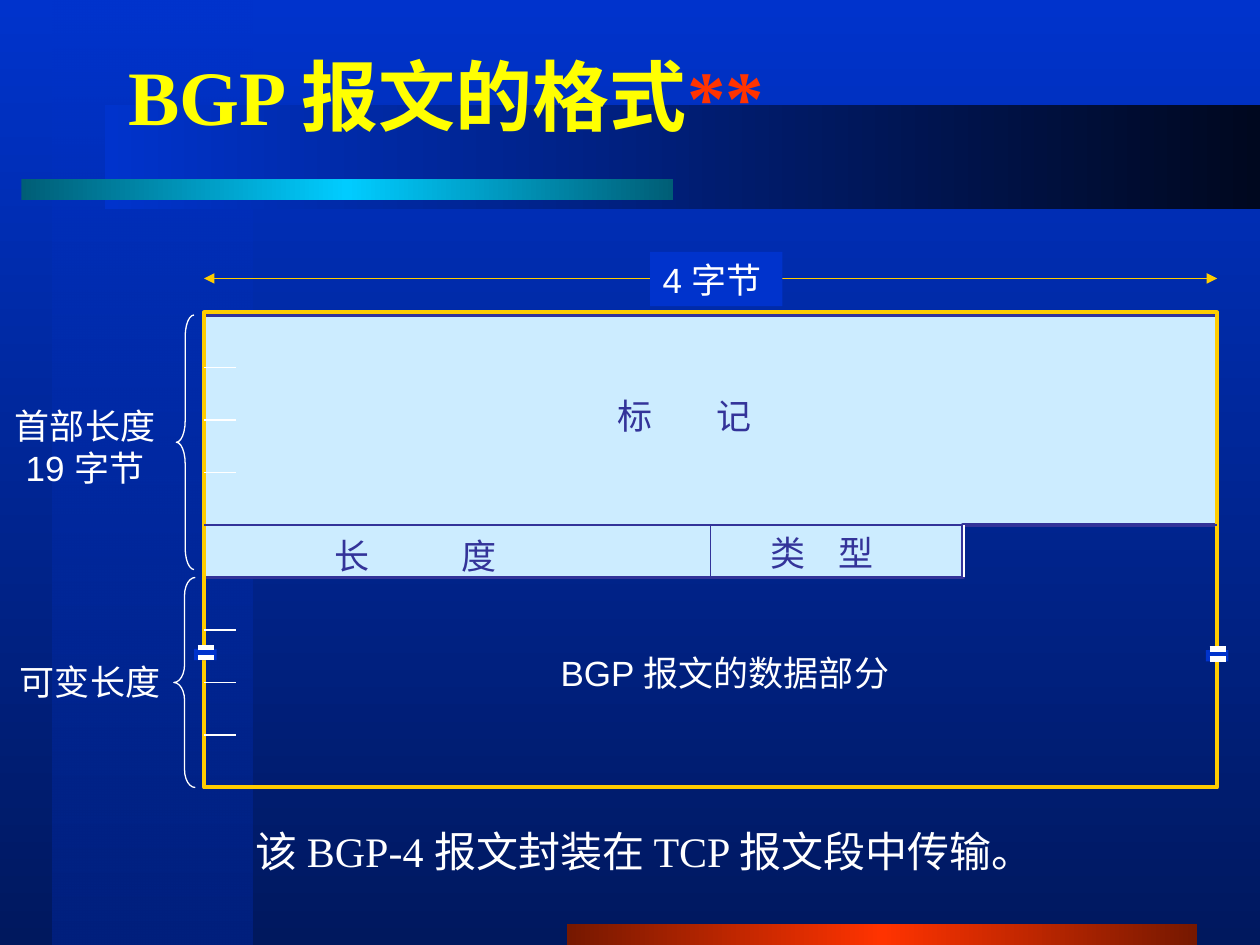
from typing import NamedTuple

from lxml.etree import SubElement
from pptx import Presentation
from pptx.dml.color import RGBColor
from pptx.enum.shapes import MSO_CONNECTOR as Connector, MSO_SHAPE as Preset
from pptx.enum.text import MSO_ANCHOR as Anchor, MSO_AUTO_SIZE as AutoSize, PP_ALIGN as Align
from pptx.oxml.ns import qn
from pptx.util import Inches, Pt

COLORS = {
    "white": "FFFFFF", "yellow": "FFFF01", "gold": "FFCC00", "red": "FF3300",
    "dark_red": "761800", "blue": "0033CC", "navy": "00185E", "deep_blue": "00207E",
    "midnight": "00081F", "cyan": "00CCFF", "teal": "005E76",
    "pale_blue": "CCECFF", "indigo": "333399",
}
LEFT, RIGHT, TOP, BOTTOM = 1.62, 9.66, 2.5, 6.25
ROW = (BOTTOM - TOP) / 9
HEADER_ROW, DATA_ROW = TOP + 4 * ROW, TOP + 5 * ROW
TYPE_LEFT, TYPE_RIGHT = 5.64, 7.64


class Box(NamedTuple):
    left: float
    top: float
    width: float
    height: float


class Band(NamedTuple):
    box: Box
    colors: list
    angle: int = 0
    first_alpha: int = 100


class Label(NamedTuple):
    text: str
    box: Box
    color: str = "white"
    size: int = 20
    font: str = "Arial"
    align: Align = Align.LEFT
    spacing: float = 0
    fill: str = ""


BANDS = [
    Band(Box(0.42, 0, 1.58, 7.5), ["blue", "deep_blue"], 270, 50),
    Band(Box(4.5, 7.33, 5, 0.17), ["dark_red", "red", "dark_red"]),
    Band(Box(0.83, 0.83, 9.17, 0.83), ["blue", "midnight"]),
    Band(Box(0.17, 1.42, 5.17, 0.17), ["teal", "cyan", "teal"]),
]
LABELS = [
    Label("4 字节", Box(5.16, 2, 1.05, 0.43), fill="blue"),
    Label("标 记", Box(4.8, 3.08, 1.87, 0.43), "indigo", spacing=16),
    Label("长 度", Box(2.56, 4.19, 2.43, 0.43), "indigo", spacing=24),
    Label("类 型", Box(6.02, 4.17, 1.31, 0.43), "indigo", spacing=7),
    Label("BGP 报文的数据部分", Box(4.35, 5.12, 2.88, 0.43)),
    Label("首部长度\n19 字节", Box(0.02, 3.16, 1.31, 0.76), align=Align.CENTER),
    Label("可变长度", Box(0.06, 5.19, 1.31, 0.43)),
    Label("该 BGP-4 报文封装在 TCP 报文段中传输。", Box(1.93, 6.5, 6.7, 0.5),
          size=24, font="Times New Roman"),
]


def rgb(name: str) -> RGBColor:
    """Look up a named colour."""
    return RGBColor.from_string(COLORS[name])


def set_gradient(fill, owner, colors: list, angle: int, first_alpha: int = 100) -> None:
    """Give a fill evenly spaced gradient stops."""
    fill.gradient()
    fill.gradient_angle = angle
    stops = next(owner.iter(qn("a:gsLst")))
    for stop in list(stops):
        stops.remove(stop)
    for index, name in enumerate(colors):
        position = 100000 * index // (len(colors) - 1)
        stop = SubElement(stops, qn("a:gs"), pos=str(position))
        color = SubElement(stop, qn("a:srgbClr"), val=COLORS[name])
        if index == 0 and first_alpha < 100:
            SubElement(color, qn("a:alpha"), val=str(first_alpha * 1000))


def style_shape(shape, *, fill: str = "", line: str = "", width: float = 1) -> None:
    """Set fill and outline, and remove the shadow."""
    shape.shadow.inherit = False
    if fill:
        shape.fill.solid()
        shape.fill.fore_color.rgb = rgb(fill)
    else:
        shape.fill.background()
    if line:
        shape.line.color.rgb = rgb(line)
        shape.line.width = Pt(width)
    else:
        shape.line.fill.background()


def add_preset(slide, preset: Preset, box: Box, **style):
    """Add a styled preset shape."""
    shape = slide.shapes.add_shape(preset, *map(Inches, box))
    style_shape(shape, **style)
    return shape


def add_band(slide, band: Band) -> None:
    """Add a gradient decoration."""
    shape = add_preset(slide, Preset.RECTANGLE, band.box)
    set_gradient(shape.fill, shape.element, band.colors, band.angle, band.first_alpha)


def add_line(slide, start: tuple, end: tuple, *, color: str = "white",
             width: float = 0.75, arrows: bool = False) -> None:
    """Add a straight line, with arrowheads at both ends if asked."""
    line = slide.shapes.add_connector(Connector.STRAIGHT, *map(Inches, start + end))
    line.line.color.rgb = rgb(color)
    line.line.width = Pt(width)
    if arrows:
        for tag in ("a:headEnd", "a:tailEnd"):
            SubElement(line.line._get_or_add_ln(), qn(tag), type="triangle")
    SubElement(line.element.spPr, qn("a:effectLst"))


def add_text(paragraph, text: str, *, color: str, size: int, font: str,
             bold: bool = False, spacing: float = 0) -> None:
    """Append a formatted run."""
    run = paragraph.add_run()
    run.text = text
    run.font.name, run.font.size, run.font.bold = font, Pt(size), bold
    run.font.color.rgb = rgb(color)
    if spacing:
        run.font._element.set("spc", str(int(spacing * 100)))


def add_label(slide, label: Label) -> None:
    """Add a text box with one paragraph for each line."""
    shape = slide.shapes.add_textbox(*map(Inches, label.box))
    if label.fill:
        shape.fill.solid()
        shape.fill.fore_color.rgb = rgb(label.fill)
    frame = shape.text_frame
    frame.word_wrap = False
    frame.auto_size = AutoSize.SHAPE_TO_FIT_TEXT
    if label.align == Align.LEFT:
        frame.margin_right = 0
    for index, text in enumerate(label.text.split("\n")):
        paragraph = frame.add_paragraph() if index else frame.paragraphs[0]
        paragraph.alignment = label.align
        add_text(paragraph, text, color=label.color, size=label.size,
                 font=label.font, spacing=label.spacing)


def add_brace(slide, box: Box, curve: float) -> None:
    """Add a left brace with the given curve height."""
    brace = add_preset(slide, Preset.LEFT_BRACE, box, line="white", width=0.75)
    brace.adjustments[0] = curve / box.width


def add_break(slide, left: float, top: float) -> None:
    """Add a break mark across a side of the frame."""
    add_preset(slide, Preset.RECTANGLE, Box(left, top, 0.18, 0.09), fill="blue")
    for y in (top - 0.01, top + 0.07):
        add_line(slide, (left + 0.03, y), (left + 0.16, y), width=3)


def add_title(slide) -> None:
    """Fill and place the title in front of the bands."""
    title = slide.shapes.title
    title.left, title.top, title.width, title.height = map(Inches, (0.92, 0.25, 8.5, 1))
    title.text_frame.vertical_anchor = Anchor.MIDDLE
    paragraph = title.text_frame.paragraphs[0]
    paragraph.alignment = Align.LEFT
    for text, color in (("BGP 报文的格式", "yellow"), ("**", "red")):
        add_text(paragraph, text, color=color, size=44, font="Times New Roman", bold=True)
    title.element.getparent().append(title.element)


def add_message(slide) -> None:
    """Draw the message frame, header fields and row ticks."""
    add_line(slide, (LEFT, 2.21), (RIGHT, 2.21), color="gold", arrows=True)
    corners = [(LEFT, DATA_ROW), (TYPE_RIGHT, DATA_ROW), (TYPE_RIGHT, HEADER_ROW),
               (RIGHT, HEADER_ROW), (RIGHT, TOP)]
    builder = slide.shapes.build_freeform(Inches(LEFT), Inches(TOP))
    builder.add_line_segments([(Inches(x), Inches(y)) for x, y in corners], close=True)
    style_shape(builder.convert_to_shape(), fill="pale_blue", line="indigo", width=2.25)
    add_preset(slide, Preset.RECTANGLE, Box(LEFT, 2.48, RIGHT - LEFT, 3.77),
               line="gold", width=2.25)
    add_line(slide, (LEFT, HEADER_ROW), (RIGHT, HEADER_ROW), color="indigo", width=1)
    for x, color in ((TYPE_LEFT, "indigo"), (TYPE_RIGHT + 0.01, "white")):
        add_line(slide, (x, HEADER_ROW), (x, DATA_ROW), color=color, width=1)
    for row in (1, 2, 3, 6, 7, 8):
        y = TOP + row * ROW
        add_line(slide, (LEFT, y), (LEFT + 0.25, y))
    add_brace(slide, Box(1.4, TOP, 0.14, 2.02), 0.17)
    add_brace(slide, Box(1.38, DATA_ROW, 0.17, BOTTOM - DATA_ROW), 0.14)
    add_break(slide, 1.54, 5.15)
    add_break(slide, 9.57, 5.16)


def main() -> None:
    """Build and save the slide."""
    presentation = Presentation()
    presentation.slide_width, presentation.slide_height = Inches(10), Inches(7.5)
    slide = presentation.slides.add_slide(presentation.slide_layouts[5])
    set_gradient(slide.background.fill, slide.element, ["blue", "navy"], 270)
    for band in BANDS:
        add_band(slide, band)
    add_title(slide)
    add_message(slide)
    for label in LABELS:
        add_label(slide, label)
    presentation.save("out.pptx")


if __name__ == "__main__":
    main()
